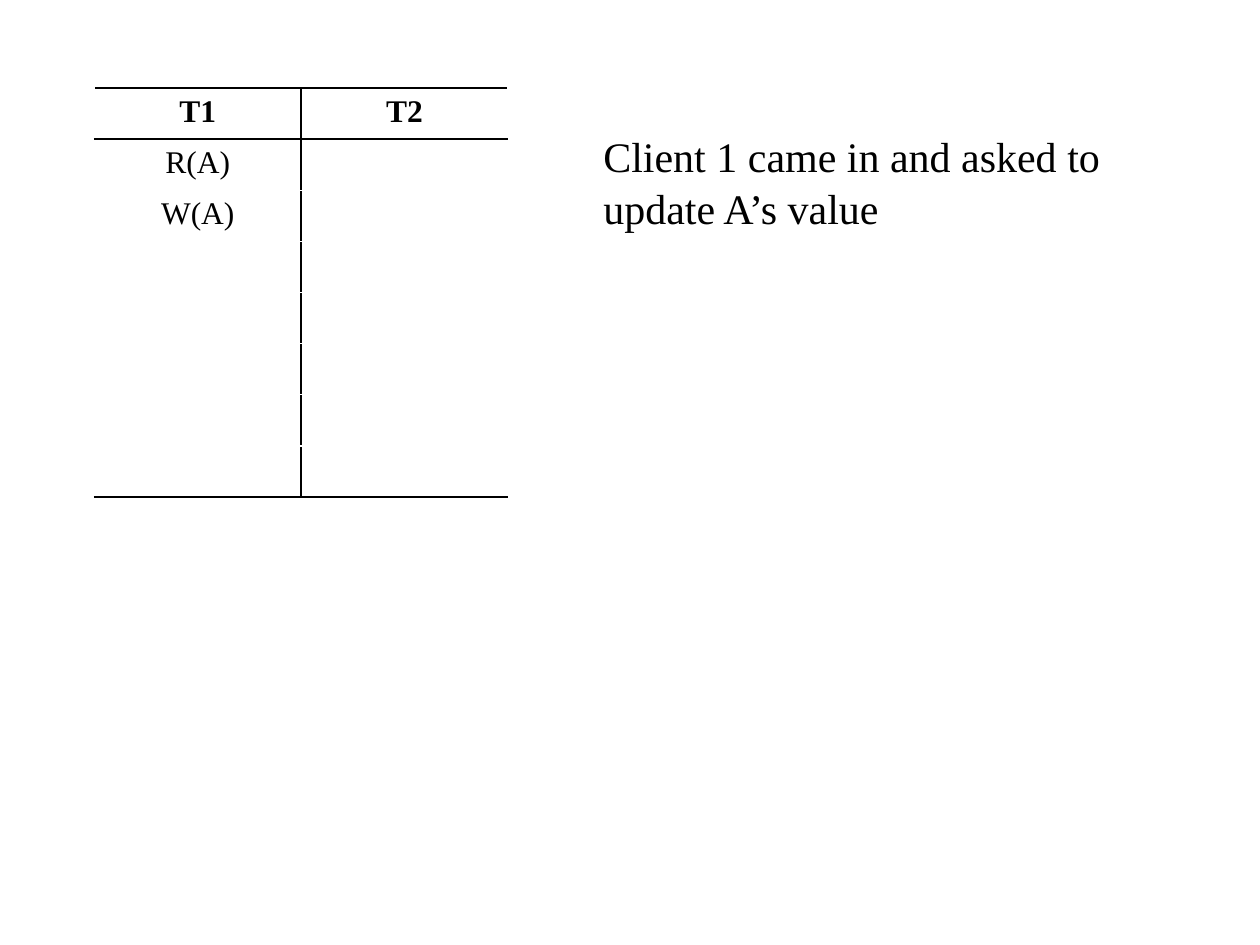
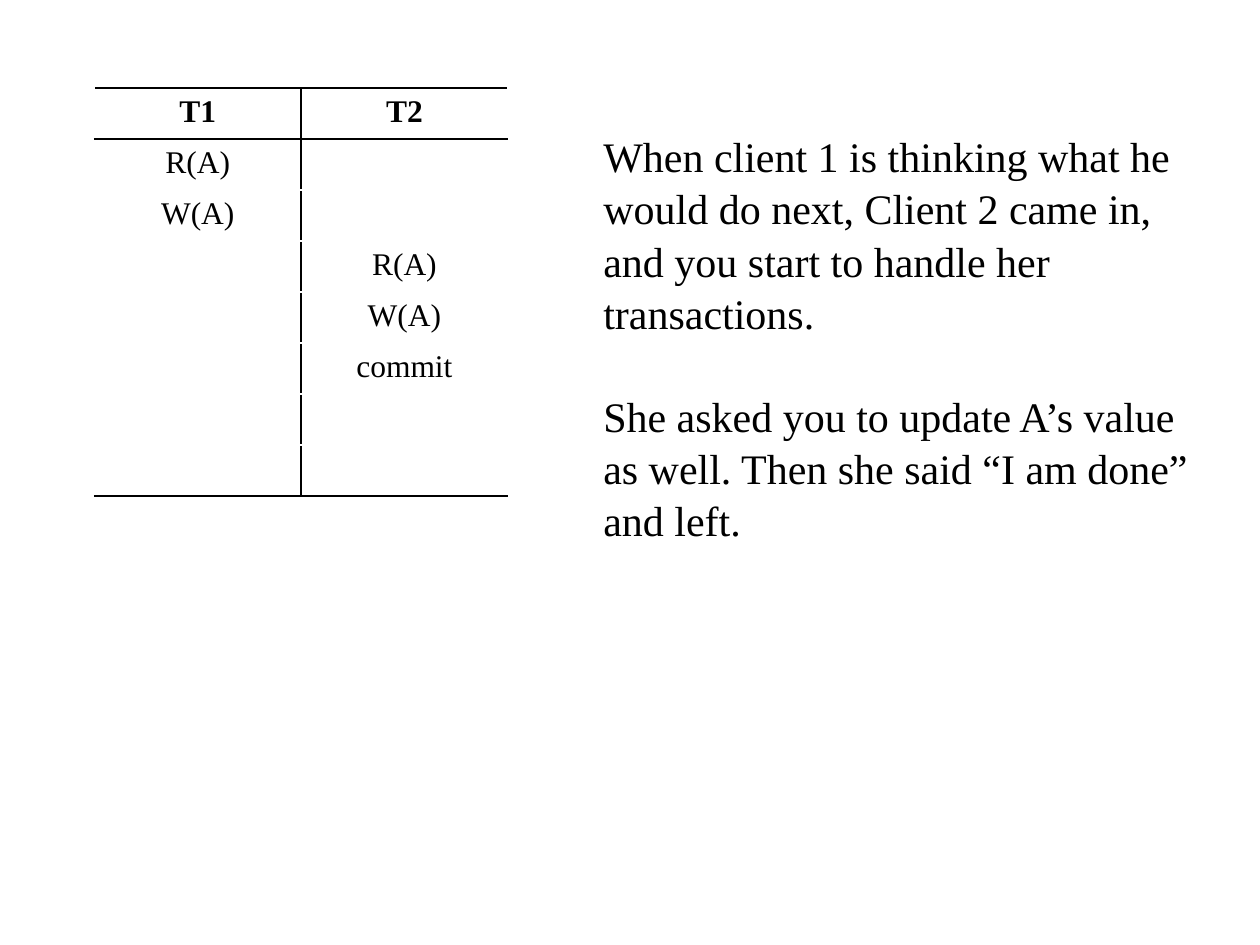
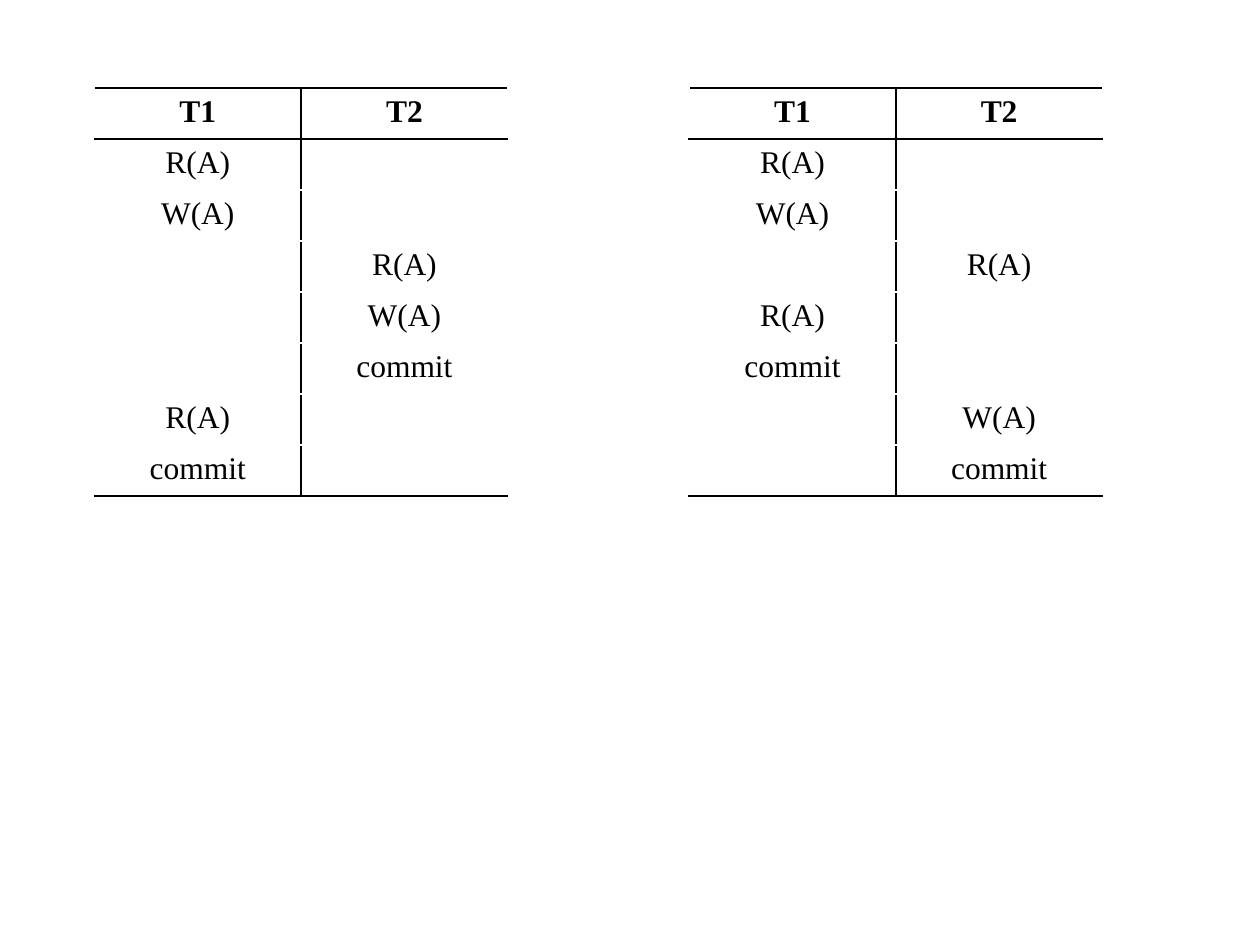
import dataclasses
import pptx
import pptx.dml.color
import pptx.enum.text
import pptx.oxml
import pptx.oxml.ns
import pptx.util

Inches = pptx.util.Inches
Pt = pptx.util.Pt
ALIGN = pptx.enum.text.PP_ALIGN


@dataclasses.dataclass(frozen=True)
class Theme:
    ink: str = "000000"
    paper: str = "FFFFFF"
    font: str = "Times New Roman"
    cell_size: float = 18
    note_size: float = 24
    note_leading: float = 1.04
    note_gap: float = 28.7
    rule: float = 1


THEME = Theme()
HEADERS = ("T1", "T2")
STEPS = 7
LEFT_BOX = (0.75, 0.7, 3.28, 3.24)
RIGHT_BOX = (5.47, 0.7, 3.28, 3.24)


def rgb(value):
    return pptx.dml.color.RGBColor.from_string(value)


def write(p, text, size, bold=False, align=ALIGN.LEFT, leading=None, before=0):
    p.alignment = align
    p.space_before = Pt(before)
    if leading:
        p.line_spacing = leading
    r = p.add_run()
    r.text = text
    r.font.name = THEME.font
    r.font.size = Pt(size)
    r.font.bold = bold
    r.font.color.rgb = rgb(THEME.ink)


def set_borders(cell, **colors):
    tcPr = cell._tc.get_or_add_tcPr()
    for i, (side, color) in enumerate(colors.items()):
        tcPr.insert(i, pptx.oxml.parse_xml(
            f'<a:ln{side} {pptx.oxml.ns.nsdecls("a")} w="{Pt(THEME.rule)}">'
            f'<a:solidFill><a:srgbClr val="{color}"/></a:solidFill></a:ln{side}>'))


def add_schedule(s, box, steps):
    rows = STEPS + 1
    left, top, width, height = map(Inches, box)
    table = s.shapes.add_table(rows, len(HEADERS), left, top, width, height).table
    table.first_row = table.horz_banding = False
    texts = {(0, col): name for col, name in enumerate(HEADERS)}
    texts.update({(row, HEADERS.index(who)): action
                  for row, (who, action) in enumerate(steps, 1)})
    for row in range(rows):
        for col in range(len(HEADERS)):
            cell = table.cell(row, col)
            cell.fill.background()
            set_borders(
                cell,
                L=THEME.ink if col else THEME.paper,
                R=THEME.paper if col else THEME.ink,
                T=THEME.ink if row < 2 else THEME.paper,
                B=THEME.ink if row in (0, STEPS) else THEME.paper)
            if (row, col) in texts:
                write(cell.text_frame.paragraphs[0], texts[row, col],
                      THEME.cell_size, bold=row == 0, align=ALIGN.CENTER)


def add_note(s, box, paragraphs):
    tf = s.shapes.add_textbox(*map(Inches, box)).text_frame
    tf.word_wrap = True
    tf.auto_size = pptx.enum.text.MSO_AUTO_SIZE.SHAPE_TO_FIT_TEXT
    for i, text in enumerate(paragraphs):
        p = tf.add_paragraph() if i else tf.paragraphs[0]
        write(p, text, THEME.note_size, leading=THEME.note_leading,
              before=THEME.note_gap if i else 0)


def add_slide(prs):
    return prs.slides.add_slide(prs.slide_layouts[6])


def add_story_slide(prs, steps, note_height, paragraphs):
    s = add_slide(prs)
    add_schedule(s, LEFT_BOX, steps)
    add_note(s, (4.69, 0.97, 4.84, note_height), paragraphs)


def add_comparison_slide(prs, left_steps, right_steps):
    s = add_slide(prs)
    add_schedule(s, LEFT_BOX, left_steps)
    add_schedule(s, RIGHT_BOX, right_steps)


def actions(who, *names):
    return [(who, name) for name in names]


prs = pptx.Presentation()
prs.slide_width, prs.slide_height = Inches(10), Inches(7.5)

first_update = actions("T1", "R(A)", "W(A)")
second_update = first_update + actions("T2", "R(A)", "W(A)", "commit")
reread = actions("T1", "R(A)", "commit")

add_story_slide(prs, first_update, 0.91, [
    "Client 1 came in and asked to update A’s value"])
add_story_slide(prs, second_update, 3.74, [
    "When client 1 is thinking what he would do next, Client 2 came in, "
    "and you start to handle her transactions.",
    "She asked you to update A’s value as well. "
    "Then she said “I am done” and left."])
add_comparison_slide(
    prs,
    second_update + reread,
    first_update + actions("T2", "R(A)") + reread + actions("T2", "W(A)", "commit"))

prs.save("out.pptx")
